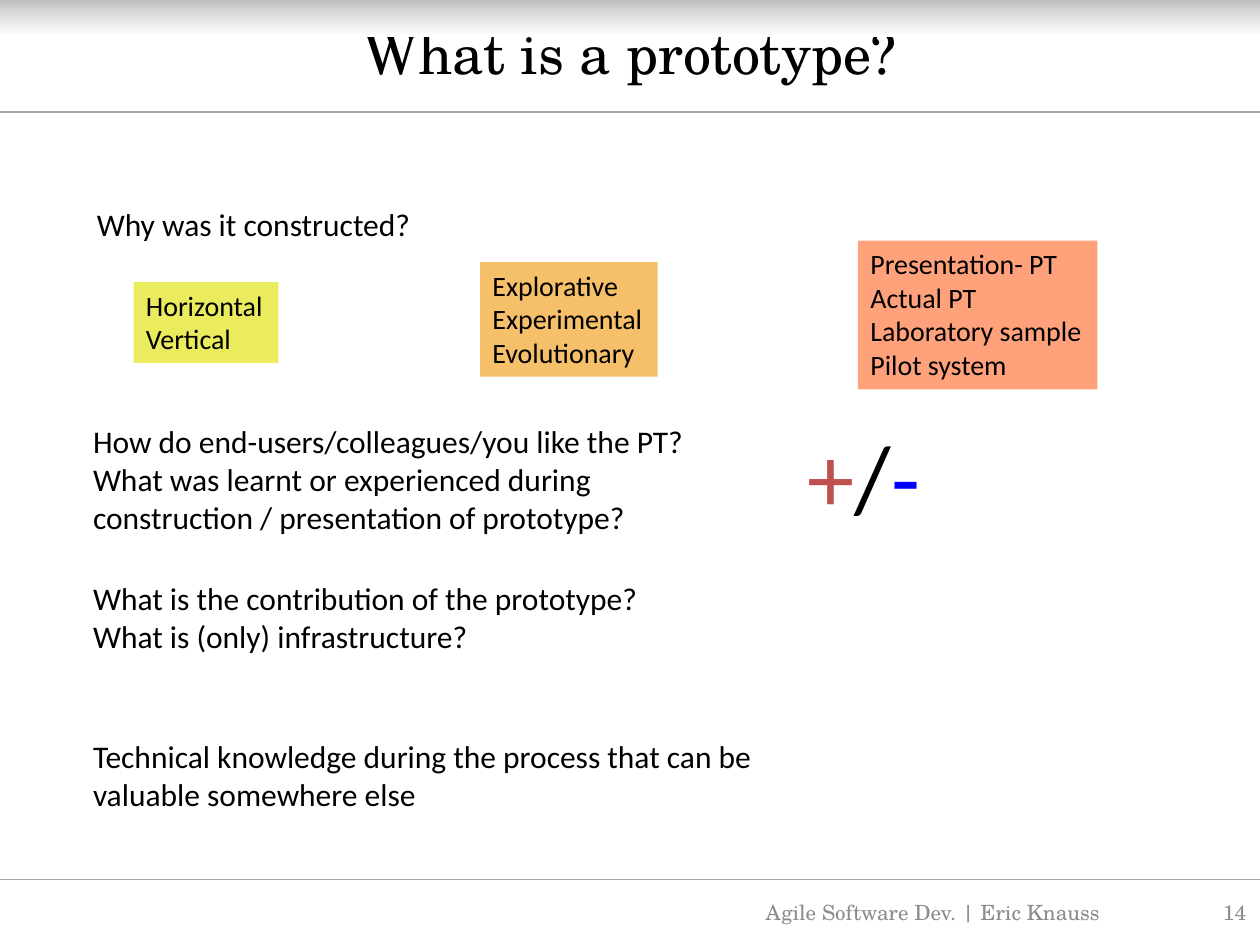
from copy import deepcopy
from dataclasses import dataclass

from lxml import etree
from pptx import Presentation
from pptx.dml.color import RGBColor
from pptx.enum import shapes, text
from pptx.oxml.ns import qn
from pptx.util import Inches, Pt


@dataclass(frozen=True)
class Theme:
    ink: str = "000000"
    gray: str = "8C8C8C"
    rule: str = "A6A6A6"
    red: str = "C0504D"
    blue: str = "0000FF"
    lime: str = "EAEC5E"
    amber: str = "F6BF69"
    coral: str = "FFA27C"
    fade: tuple = ((0, "BFBFBF"), (0.34, "D9D9D9"), (1, "FFFFFF"))
    serif: str = "TeX Gyre Schola"
    sans: str = "Calibri"
    head: int = 32
    body: int = 18
    tag: int = 16
    sign: int = 54
    foot: int = 12


look = Theme()
left = text.PP_ALIGN.LEFT
mid = text.PP_ALIGN.CENTER
right = text.PP_ALIGN.RIGHT


def write(shape, lines, size=look.body, font=look.sans, color=look.ink,
          align=left, anchor=text.MSO_ANCHOR.TOP, wrap=True, grow=True):
    frame = shape.text_frame
    frame.word_wrap = wrap
    frame.auto_size = (text.MSO_AUTO_SIZE.SHAPE_TO_FIT_TEXT if grow
                       else text.MSO_AUTO_SIZE.NONE)
    frame.vertical_anchor = anchor
    for i, line in enumerate(lines):
        para = frame.add_paragraph() if i else frame.paragraphs[0]
        para.alignment = align
        parts = [(line, color)] if isinstance(line, str) else line
        for words, tint in parts:
            run = para.add_run()
            run.text = words
            run.font.size = Pt(size)
            run.font.name = font
            run.font.color.rgb = RGBColor.from_string(tint)


deck = Presentation()
deck.slide_width = Inches(10)
deck.slide_height = Inches(7.5)
slide = deck.slides.add_slide(deck.slide_layouts[5])
items = slide.shapes

band = items.add_shape(shapes.MSO_SHAPE.RECTANGLE, 0, 0, Inches(10), Inches(0.29))
band.shadow.inherit = False
band.line.fill.background()
band.fill.gradient()
band.fill.gradient_angle = 270
stops = band._element.spPr.find(qn("a:gradFill")).find(qn("a:gsLst"))
stops.append(deepcopy(stops[0]))
for stop, (spot, tint) in zip(band.fill.gradient_stops, look.fade):
    stop.position = spot
    stop.color.rgb = RGBColor.from_string(tint)

for y in (0.89, 6.98):
    rule = items.add_connector(shapes.MSO_CONNECTOR.STRAIGHT,
                               0, Inches(y), Inches(10), Inches(y))
    rule.line.color.rgb = RGBColor.from_string(look.rule)
    rule.line.width = Pt(0.75)
    etree.SubElement(rule._element.spPr, qn("a:effectLst"))

title = items.title
title.left, title.top = Inches(0.5), Inches(0.03)
title.width, title.height = Inches(9), Inches(0.77)
write(title, ["What is a prototype?"], size=look.head, font=look.serif,
      align=mid, anchor=text.MSO_ANCHOR.MIDDLE, grow=False)

notes = [
    ((0.67, 1.58, 2.73, 0.4), False, ["Why was it constructed?"]),
    ((0.64, 3.3, 5.54, 1.01), True,
     ["How do end-users/colleagues/you like the PT?",
      "What was learnt or experienced during construction / presentation of prototype?"]),
    ((0.64, 4.55, 4.58, 0.7), False,
     ["What is the contribution of the prototype?", "What is (only) infrastructure?"]),
    ((0.64, 5.8, 5.46, 0.7), True,
     ["Technical knowledge during the process that can be valuable somewhere else"]),
]
for area, wrap, lines in notes:
    write(items.add_textbox(*map(Inches, area)), lines, wrap=wrap)

tags = [
    ((6.81, 1.91, 1.9, 1.18), look.coral,
     ["Presentation- PT", "Actual PT", "Laboratory sample", "Pilot system"]),
    ((3.81, 2.08, 1.41, 0.91), look.amber,
     ["Explorative", "Experimental", "Evolutionary"]),
    ((1.06, 2.24, 1.15, 0.64), look.lime, ["Horizontal", "Vertical"]),
]
for area, tint, lines in tags:
    tag = items.add_shape(shapes.MSO_SHAPE.RECTANGLE, *map(Inches, area))
    tag.shadow.inherit = False
    tag.fill.solid()
    tag.fill.fore_color.rgb = RGBColor.from_string(tint)
    tag.line.fill.background()
    write(tag, lines, size=look.tag, wrap=False)

sign = items.add_textbox(Inches(6.31), Inches(3.27), Inches(1.11), Inches(1.01))
write(sign, [[("+", look.red), ("/", look.ink), ("-", look.blue)]],
      size=look.sign, wrap=False)

for x, width, words, align in (
    (5.82, 3.17, "Agile Software Dev. | Eric Knauss", mid),
    (9.07, 0.92, "14", right),
):
    foot = items.add_textbox(Inches(x), Inches(7.04), Inches(width), Inches(0.4))
    write(foot, [words], size=look.foot, font=look.serif, color=look.gray,
          align=align, anchor=text.MSO_ANCHOR.MIDDLE, grow=False)

deck.save("out.pptx")
